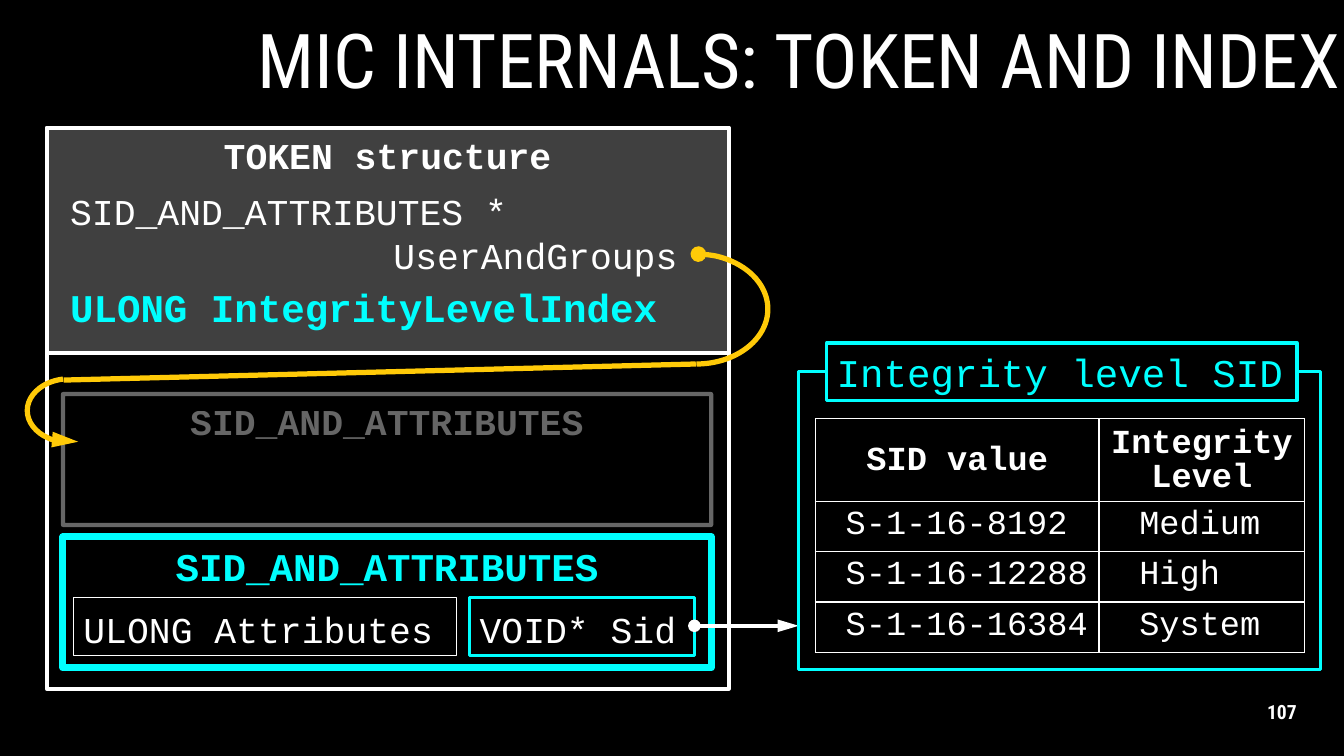
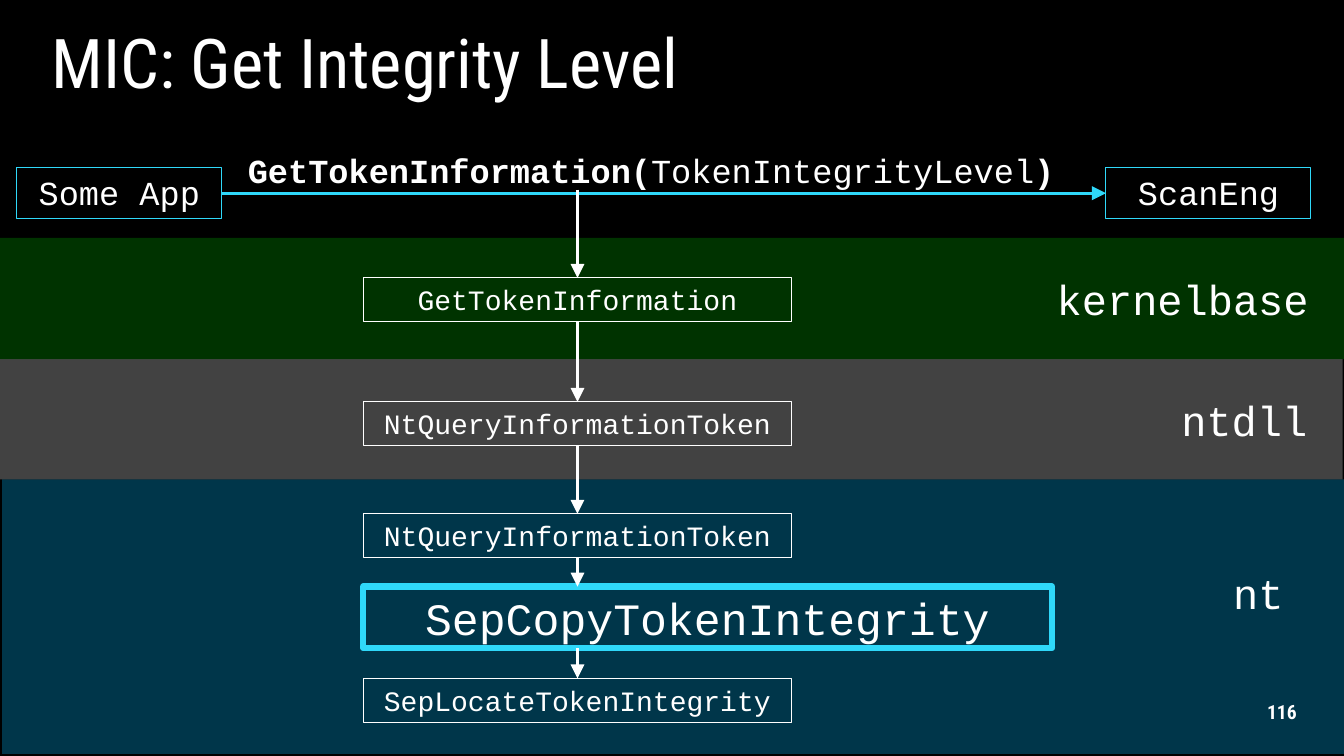
from dataclasses import dataclass
from lxml.etree import SubElement
from pptx import Presentation
from pptx.dml.color import RGBColor as Rgb
from pptx.enum.shapes import MSO_CONNECTOR as Connector, MSO_SHAPE as Preset
from pptx.enum.text import MSO_ANCHOR as Anchor, MSO_AUTO_SIZE as AutoSize, PP_ALIGN as Align
from pptx.oxml.ns import qn
from pptx.util import Pt


@dataclass(frozen=True)
class Theme:
    black: str = "000000"
    white: str = "FFFFFF"
    gray: str = "404040"
    cyan: str = "00FFFF"
    sky: str = "2FD8F9"
    gold: str = "FFCA08"
    green_band: str = "008000"
    gray_band: str = "A6A6A6"
    blue_band: str = "00B0F0"
    heading_font: str = "Roboto Condensed"
    code_font: str = "Courier New"
    wide_title: int = 54
    title: int = 49
    number: int = 14
    step: int = 20
    cell: int = 24
    code: int = 26
    strong: int = 28
    band: int = 30
    focus: int = 32


THEME = Theme()
INSET_X, INSET_Y = 7.2, 3.6


# Text
def style(span, size, color=THEME.white, bold=False, font=THEME.code_font):
    span.font.size = Pt(size)
    span.font.name = font
    span.font.bold = bold
    span.font.color.rgb = Rgb.from_string(color)


def write(box, text, size, align=Align.LEFT, anchor=Anchor.TOP, spacing=None, **look):
    frame = box.text_frame
    frame.text = text
    frame.word_wrap = True
    frame.auto_size = AutoSize.NONE
    frame.vertical_anchor = anchor
    for para in frame.paragraphs:
        para.alignment = align
        para.line_spacing = spacing
        for span in para.runs:
            style(span, size, **look)
    return frame


def add_text(page, area, text, size, **look):
    box = page.shapes.add_textbox(*map(Pt, area))
    return write(box, text, size, **look)


def indent(para, points):
    para._p.get_or_add_pPr().set("marL", str(Pt(points)))


# Shapes and lines
def set_line(shape, color, width):
    shape.line.color.rgb = Rgb.from_string(color)
    shape.line.width = Pt(width)


def add_box(page, area, line=None, width=0.75, fill=None, preset=Preset.RECTANGLE):
    box = page.shapes.add_shape(preset, *map(Pt, area))
    box.shadow.inherit = False
    if fill:
        box.fill.solid()
        box.fill.fore_color.rgb = Rgb.from_string(fill)
    else:
        box.fill.background()
    if line:
        set_line(box, line, width)
    else:
        box.line.fill.background()
    return box


def fade(element, percent):
    for color in element.iter(qn("a:srgbClr")):
        SubElement(color, qn("a:alpha"), val=str(percent * 1000))


def add_ends(shape, head=None, tail=None, breadth="med"):
    line = shape._element.spPr.find(qn("a:ln"))
    for tag, kind in (("a:headEnd", head), ("a:tailEnd", tail)):
        if kind:
            length = "med" if kind == "oval" else "lg"
            SubElement(line, qn(tag), type=kind, w=breadth, len=length)


def add_line(page, start, end, color, width, **ends):
    line = page.shapes.add_connector(Connector.STRAIGHT, *map(Pt, start + end))
    set_line(line, color, width)
    add_ends(line, **ends)
    SubElement(line._element.spPr, qn("a:effectLst"))


def add_arc(page, area, angles, head):
    arc = add_box(page, area, THEME.gold, 3.75, preset=Preset.ARC)
    for index, degrees in enumerate(angles):
        arc.adjustments[index] = degrees * 0.6
    add_ends(arc, head=head)


# Table
def border_cell(cell, color, width):
    props = cell._tc.get_or_add_tcPr()
    for index, side in enumerate(("lnL", "lnR", "lnT", "lnB")):
        line = SubElement(props, qn(f"a:{side}"), w=str(Pt(width)))
        fill = SubElement(line, qn("a:solidFill"))
        SubElement(fill, qn("a:srgbClr"), val=color)
        props.insert(index, line)


def add_grid(page, area, rows, widths, heights, indents):
    table = page.shapes.add_table(len(rows), len(widths), *map(Pt, area)).table
    table.first_row = table.horz_banding = False
    for column, width in zip(table.columns, widths):
        column.width = Pt(width)
    for row, height in zip(table.rows, heights):
        row.height = Pt(height)
    for r, values in enumerate(rows):
        for c, value in enumerate(values):
            cell = table.cell(r, c)
            cell.fill.solid()
            cell.fill.fore_color.rgb = Rgb.from_string(THEME.black)
            border_cell(cell, THEME.white, 1)
            cell.text_frame.text = value
            para = cell.text_frame.paragraphs[0]
            if r == 0:
                cell.vertical_anchor = Anchor.MIDDLE
                para.alignment = Align.CENTER
                para.line_spacing = 0.9
            else:
                indent(para, indents[c])
            style(para.runs[0], THEME.cell, bold=r == 0)


# Page frame
def add_page(deck, title, area, size):
    page = deck.slides.add_slide(deck.slide_layouts[5])
    box = page.shapes.title
    box.left, box.top, box.width, box.height = map(Pt, area)
    write(box, title, size, anchor=Anchor.MIDDLE, spacing=0.9, font=THEME.heading_font)
    return page


def add_number(page, number):
    add_text(page, (890.5, 494, 50.5, 29), str(number), THEME.number, align=Align.CENTER,
             anchor=Anchor.MIDDLE, bold=True, font=THEME.heading_font)


def build_token_page(deck):
    page = add_page(deck, "MIC INTERNALS: TOKEN AND INDEX", (176.4, -3, 792, 97),
                    THEME.wide_title)

    # Token structure
    add_box(page, (33.5, 91.5, 487, 160.5), THEME.white, 3, THEME.gray)
    frame = add_box(page, (33.5, 91.5, 487, 400.5), THEME.white, 3)
    write(frame, "TOKEN structure", THEME.code, align=Align.CENTER, bold=True)
    field = add_text(page, (43, 131.5, 454, 70.5), "SID_AND_ATTRIBUTES *\nUserAndGroups",
                     THEME.code)
    indent(field.paragraphs[1], 231)
    add_text(page, (43, 198.5, 438, 41), "ULONG IntegrityLevelIndex", THEME.strong,
             color=THEME.cyan, bold=True)

    # Array entries
    entries = ((281.5, THEME.white, 3, THEME.code), (383.5, THEME.cyan, 5, THEME.strong))
    for top, color, width, size in entries:
        entry = add_box(page, (45, top, 463, 93.5), color, width)
        write(entry, "SID_AND_ATTRIBUTES", size, align=Align.CENTER, color=color, bold=True)
        if color == THEME.white:
            fade(entry._element, 40)
    members = (("ULONG Attributes", 52.5, 273.5, THEME.white, 0.75),
               ("VOID* Sid", 335.5, 160.5, THEME.cyan, 2.25))
    for text, left, length, color, width in members:
        member = add_box(page, (left, 427, length, 41), color, width)
        write(member, text, THEME.code, spacing=1.1)
    add_line(page, (496, 447), (570.5, 447), THEME.white, 3, head="oval", tail="triangle")

    # Integrity levels
    add_grid(page, (582.5, 299, 349.5, 167),
             (("SID value", "Integrity Level"), ("S-1-16-8192", "Medium"),
              ("S-1-16-12288", "High"), ("S-1-16-16384", "System")),
             (202.5, 147), (59, 36, 36, 36), (14.4, 21.6))
    add_box(page, (570.5, 265.5, 373, 213), THEME.cyan, 2.25)
    label = add_box(page, (590.5, 245, 336, 41), THEME.cyan, 2.25, THEME.black)
    write(label, "Integrity level SID", THEME.strong, color=THEME.cyan).word_wrap = False

    # Pointer from the field to the array
    add_arc(page, (446.5, 181.5, 102, 78.5), (272, 90), "oval")
    add_arc(page, (19.5, 270.5, 60.5, 45.5), (74.7, 258.2), "triangle")
    add_line(page, (45.5, 271.5), (497, 260), THEME.gold, 3.75)
    add_number(page, 107)


def build_call_page(deck):
    page = add_page(deck, "MIC: Get Integrity Level", (29.5, 16.5, 930, 61), THEME.title)

    # Module bands: name, area, colour, opacity, extra right and bottom margin
    bands = (("nt", (1.5, 342.5, 958.5, 196), THEME.blue_band, 31, 36, 34),
             ("ntdll", (0, 256.5, 959, 86), THEME.gray_band, 40, 18, 0),
             ("kernelbase", (0, 170, 960, 86.5), THEME.green_band, 40, 18, 0))
    for name, area, color, opacity, right, bottom in bands:
        band = add_box(page, area, fill=color)
        fade(band._element.spPr, opacity)
        frame = write(band, name, THEME.band, align=Align.RIGHT, anchor=Anchor.MIDDLE)
        frame.margin_right = Pt(INSET_X + right)
        frame.margin_bottom = Pt(INSET_Y + bottom)

    # Call between the two processes
    for name, left in (("Some App", 12), ("ScanEng", 790)):
        process = add_box(page, (left, 119.5, 146.5, 36.5), THEME.sky)
        write(process, name, THEME.cell, align=Align.CENTER)
    add_line(page, (158.5, 138), (790, 138), THEME.sky, 2, tail="triangle", breadth="lg")
    call = add_text(page, (165, 103.5, 600, 36), "GetTokenInformation(", THEME.cell,
                    align=Align.CENTER, bold=True)
    for text, bold in (("TokenIntegrityLevel", False), (")", True)):
        span = call.paragraphs[0].add_run()
        span.text = text
        style(span, THEME.cell, bold=bold)

    # Chain of functions
    steps = (("GetTokenInformation", 198.5), ("NtQueryInformationToken", 287),
             ("NtQueryInformationToken", 367), ("SepCopyTokenIntegrity", 419),
             ("SepLocateTokenIntegrity", 484.5))
    above = 135.5
    for name, top in steps:
        focus = name == "SepCopyTokenIntegrity"
        length, height = (492, 44) if focus else (306, 31.5)
        step = add_box(page, (259.5, top, length, height),
                       THEME.sky if focus else THEME.white, 4.5 if focus else 0.75)
        write(step, name, THEME.focus if focus else THEME.step, align=Align.CENTER,
              anchor=Anchor.MIDDLE if focus else Anchor.TOP)
        add_line(page, (412.5, above), (412.5, top), THEME.white, 1.5,
                 tail="triangle", breadth="lg")
        above = top + height
    add_number(page, 116)


def main():
    deck = Presentation()
    deck.slide_width, deck.slide_height = Pt(960), Pt(540)
    fill = deck.slide_master.background.fill
    fill.solid()
    fill.fore_color.rgb = Rgb.from_string(THEME.black)
    build_token_page(deck)
    build_call_page(deck)
    deck.save("out.pptx")


if __name__ == "__main__":
    main()
